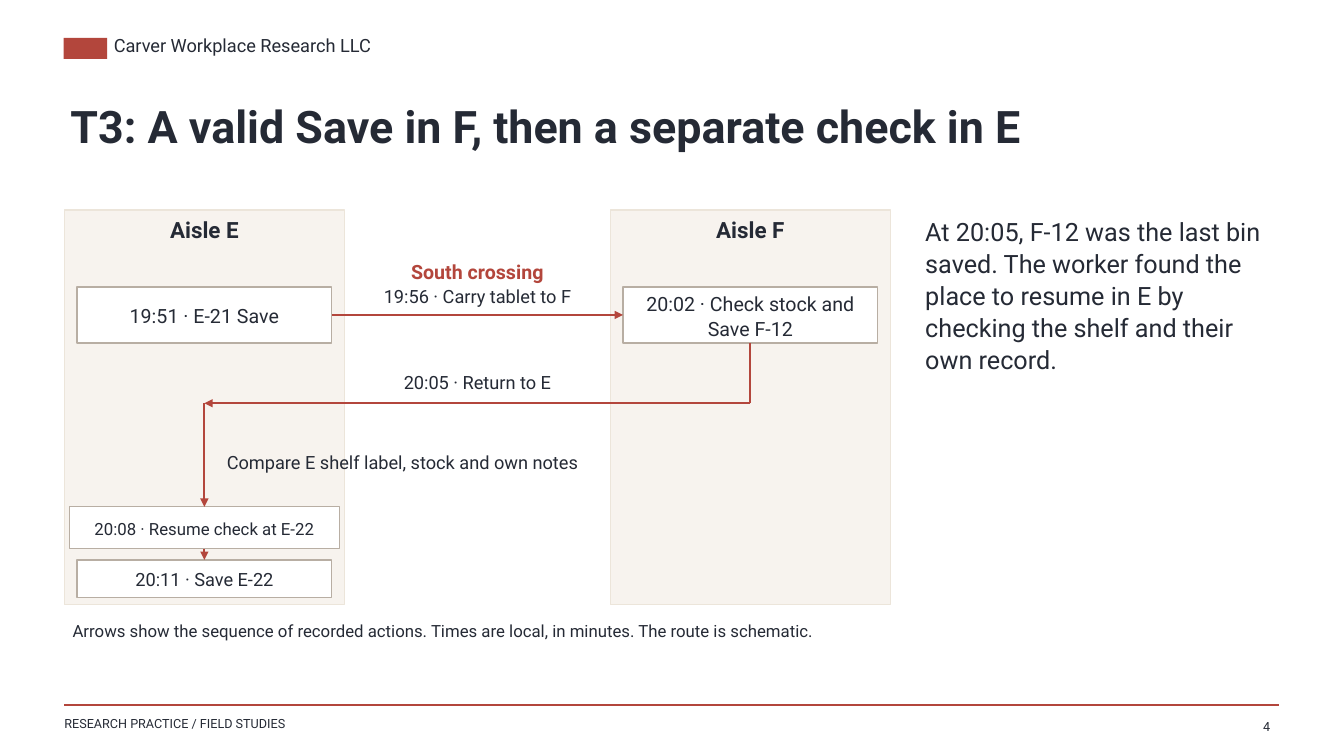
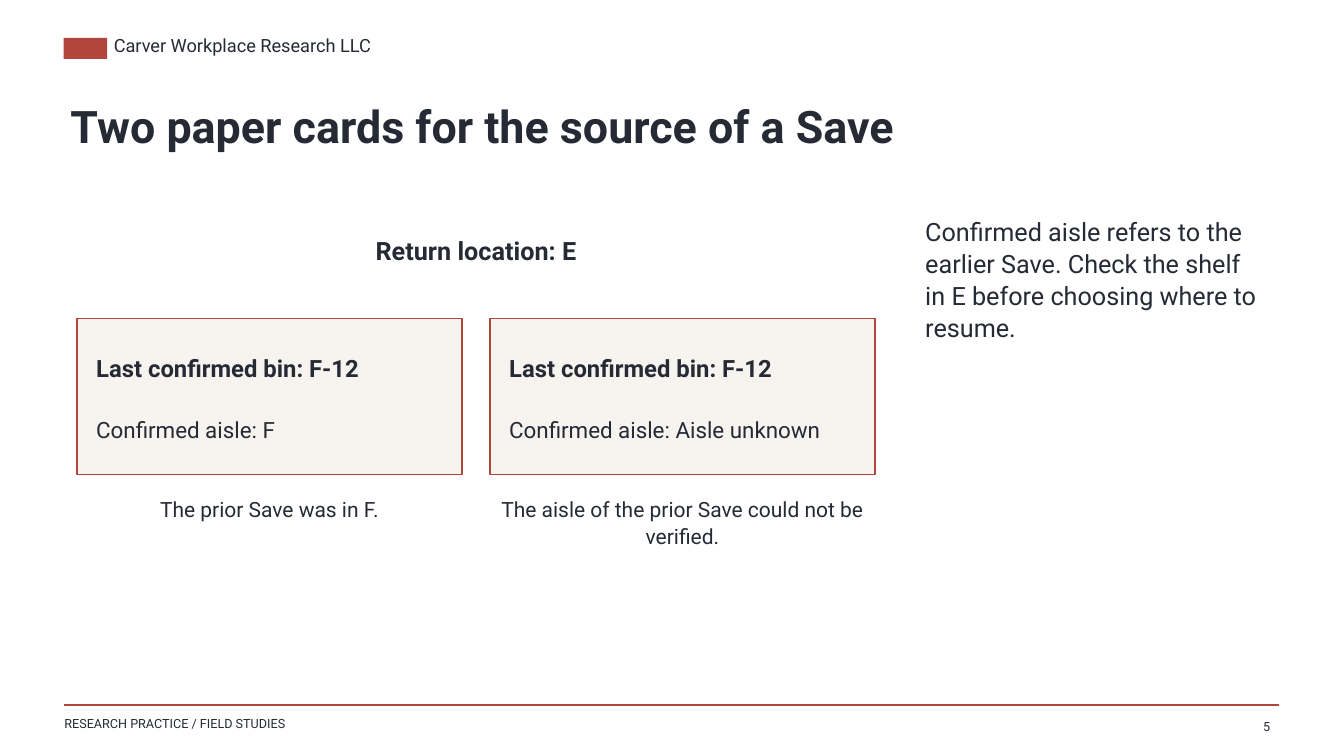
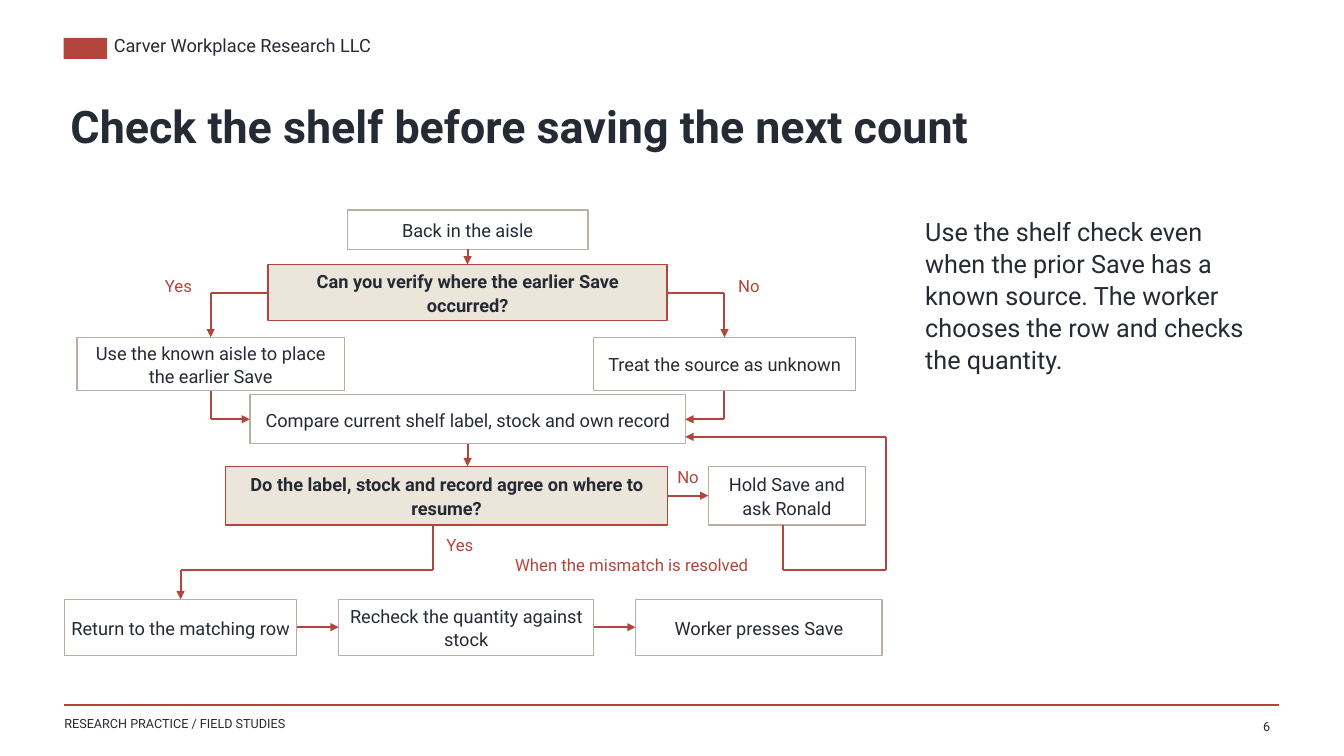
from lxml.etree import SubElement
from pptx import Presentation
from pptx.dml.color import RGBColor
from pptx.enum.shapes import MSO_CONNECTOR, MSO_SHAPE
from pptx.enum.text import MSO_ANCHOR, PP_ALIGN
from pptx.oxml.ns import qn
from pptx.util import Pt

FONT = "Roboto"
COLORS = {
    "ink": "252A35",
    "red": "B3463C",
    "white": "FFFFFF",
    "panel": "F7F3EE",
    "sand": "ECE5DA",
    "border": "B8AEA3",
}
LEFT, CENTER, RIGHT = PP_ALIGN.LEFT, PP_ALIGN.CENTER, PP_ALIGN.RIGHT
TOP, MIDDLE = MSO_ANCHOR.TOP, MSO_ANCHOR.MIDDLE


def box(s, text, x, y, w, h, size=13, bold=False, color="ink", align=CENTER,
        anchor=MIDDLE, fill=None, line=None, holder=None):
    """Place text in a holder, a filled rectangle or else a plain text box."""
    if holder is not None:
        sp = holder
    elif fill:
        sp = s.shapes.add_shape(MSO_SHAPE.RECTANGLE, 0, 0, 0, 0)
        sp.shadow.inherit = False
        sp.fill.solid()
        sp.fill.fore_color.rgb = RGBColor.from_string(COLORS[fill])
        if line:
            sp.line.color.rgb = RGBColor.from_string(COLORS[line])
            sp.line.width = Pt(0.9)
        else:
            sp.line.fill.background()
    else:
        sp = s.shapes.add_textbox(0, 0, 0, 0)
    sp.left, sp.top, sp.width, sp.height = Pt(x), Pt(y), Pt(w), Pt(h)
    if text:
        tf = sp.text_frame
        tf.word_wrap = True
        tf.vertical_anchor = anchor
        tf.margin_left = tf.margin_right = Pt(4.3)
        tf.margin_top = tf.margin_bottom = Pt(2.2)
        p = tf.paragraphs[0]
        p.text = text
        p.alignment = align
        p.line_spacing = 1.06
        p.font.name = FONT
        p.font.size = Pt(size)
        p.font.bold = bold
        p.font.color.rgb = RGBColor.from_string(COLORS[color])
    return sp


def route(s, *points, arrow=True, width=1.45):
    """Join points, each (x, y) or (shape, side), with straight connectors."""
    for a, b in zip(points, points[1:]):
        c = s.shapes.add_connector(MSO_CONNECTOR.STRAIGHT, 0, 0, 0, 0)
        if hasattr(a[0], "shape_id"):
            c.begin_connect(*a)
        else:
            c.begin_x, c.begin_y = Pt(a[0]), Pt(a[1])
        if hasattr(b[0], "shape_id"):
            c.end_connect(*b)
        else:
            c.end_x, c.end_y = Pt(b[0]), Pt(b[1])
        c.line.color.rgb = RGBColor.from_string(COLORS["red"])
        c.line.width = Pt(width)
        spPr = c.element.spPr
        if arrow and b is points[-1]:
            SubElement(spPr.find(qn("a:ln")), qn("a:tailEnd"), type="triangle")
        SubElement(spPr, qn("a:effectLst"))


prs = Presentation()
prs.slide_width, prs.slide_height = Pt(960), Pt(540)

# Shared frame, title and side text
pages = [
    ("T3: A valid Save in F, then a separate check in E",
     "At 20:05, F-12 was the last bin saved. The worker found the place to "
     "resume in E by checking the shelf and their own record."),
    ("Two paper cards for the source of a Save",
     "Confirmed aisle refers to the earlier Save. Check the shelf in E before "
     "choosing where to resume."),
    ("Check the shelf before saving the next count",
     "Use the shelf check even when the prior Save has a known source. The "
     "worker chooses the row and checks the quantity."),
]
slides = []
for number, (title, side_text) in enumerate(pages, 4):
    s = prs.slides.add_slide(prs.slide_layouts[5])
    box(s, title, 46, 66, 864, 72, 32, bold=True, align=LEFT, anchor=TOP,
        holder=s.shapes.title)
    box(s, "", 45.5, 27, 31, 15, fill="red")
    box(s, "Carver Workplace Research LLC", 77, 21.4, 396, 22, align=LEFT,
        anchor=TOP)
    route(s, (46, 503.6), (913.6, 503.6), arrow=False, width=0.75)
    box(s, "RESEARCH PRACTICE / FIELD STUDIES", 41.7, 508.4, 396, 17, 9,
        align=LEFT, anchor=TOP)
    box(s, str(number), 873.5, 510, 38, 17, 9, align=RIGHT)
    box(s, side_text, 656.6, 151.2, 250.6, 316, 18, align=LEFT, anchor=TOP)
    slides.append(s)
sequence, cards, decisions = slides

# Sequence of actions across the two aisles
s = sequence
for name, x in [("Aisle E", 46), ("Aisle F", 436)]:
    box(s, "", x, 150, 200, 282, fill="panel", line="sand")
    box(s, name, x, 152.6, 200, 21.6, 16, bold=True)
step = dict(fill="white", line="border")
save_e21 = box(s, "19:51 · E-21 Save", 55, 205, 182, 40, 14, **step)
save_f12 = box(s, "20:02 · Check stock and Save F-12", 445, 205, 182, 40, 14,
               **step)
resume = box(s, "20:08 · Resume check at E-22", 49.5, 362, 193, 30, 12, **step)
save_e22 = box(s, "20:11 · Save E-22", 55, 400, 182, 27, **step)
route(s, (save_e21, 3), (save_f12, 1))
route(s, (save_f12, 2), (536, 288), (146, 288))
route(s, (146, 288), (resume, 0))
route(s, (resume, 2), (save_e22, 0))
box(s, "South crossing", 246, 183.6, 190, 20, 14, bold=True, color="red")
box(s, "19:56 · Carry tablet to F", 246, 201.6, 190, 19)
box(s, "20:05 · Return to E", 246, 263, 190, 19)
box(s, "Compare E shelf label, stock and own notes", 157.7, 318, 281, 24,
    align=LEFT)
box(s, "Arrows show the sequence of recorded actions. Times are local, in "
    "minutes. The route is schematic.", 47.5, 440, 584.6, 32, 12, align=LEFT,
    anchor=TOP)

# Two paper cards
s = cards
box(s, "Return location: E", 47.5, 164, 585, 29, 18, bold=True)
for i, (aisle, note) in enumerate([
    ("F", "The prior Save was in F."),
    ("Aisle unknown", "The aisle of the prior Save could not be verified."),
]):
    x = 55 + 295 * i
    box(s, "", x, 227.5, 275, 111.5, fill="panel", line="red")
    box(s, "Last confirmed bin: F-12", x + 9.4, 248.4, 256, 28, 17, bold=True,
        align=LEFT)
    box(s, f"Confirmed aisle: {aisle}", x + 9.4, 286.6, 256, 39, 16, align=LEFT)
    box(s, note, x + 1.5, 351.4, 272, 45, 15, anchor=TOP)

# Decision flow
s = decisions
question = dict(fill="sand", line="red", bold=True)
back = box(s, "Back in the aisle", 248, 150, 172, 28, **step)
verify = box(s, "Can you verify where the earlier Save occurred?",
             191.5, 189, 285, 40, **question)
known = box(s, "Use the known aisle to place the earlier Save",
            55, 241, 191, 38, **step)
unknown = box(s, "Treat the source as unknown", 424, 241, 187, 38, **step)
compare = box(s, "Compare current shelf label, stock and own record",
              178.5, 282, 311, 35, **step)
agree = box(s, "Do the label, stock and record agree on where to resume?",
            161, 333, 316, 42, **question)
hold = box(s, "Hold Save and ask Ronald", 506, 333, 112, 42, **step)

final_steps = []
x = 46
for text, w in [("Return to the matching row", 166),
                ("Recheck the quantity against stock", 182),
                ("Worker presses Save", 176)]:
    final_steps.append(box(s, text, x, 428, w, 40, **step))
    x += w + 30
for before, after in zip(final_steps, final_steps[1:]):
    route(s, (before, 3), (after, 1))

route(s, (back, 2), (verify, 0))
for side, branch, x in [(1, known, 150.5), (3, unknown, 517.5)]:
    route(s, (verify, side), (x, 209), (branch, 0))
    route(s, (branch, 2), (x, 299.5), (compare, side))
route(s, (compare, 2), (334, 333))
route(s, (agree, 3), (hold, 1))
route(s, (309, 375), (309, 407), (129, 407), (final_steps[0], 0))
route(s, (559.5, 375), (559.5, 407.5), (633, 407.5), (633, 312), (489.5, 312))

for text, x, y in [("Yes", 109.5, 194.5), ("No", 517, 194.5),
                   ("Yes", 310.5, 380), ("No", 473.5, 331)]:
    box(s, text, x, y, 36, 18, 12, color="red")
box(s, "When the mismatch is resolved", 363.6, 391.7, 196, 22, 12, color="red",
    align=LEFT)

prs.save("out.pptx")
